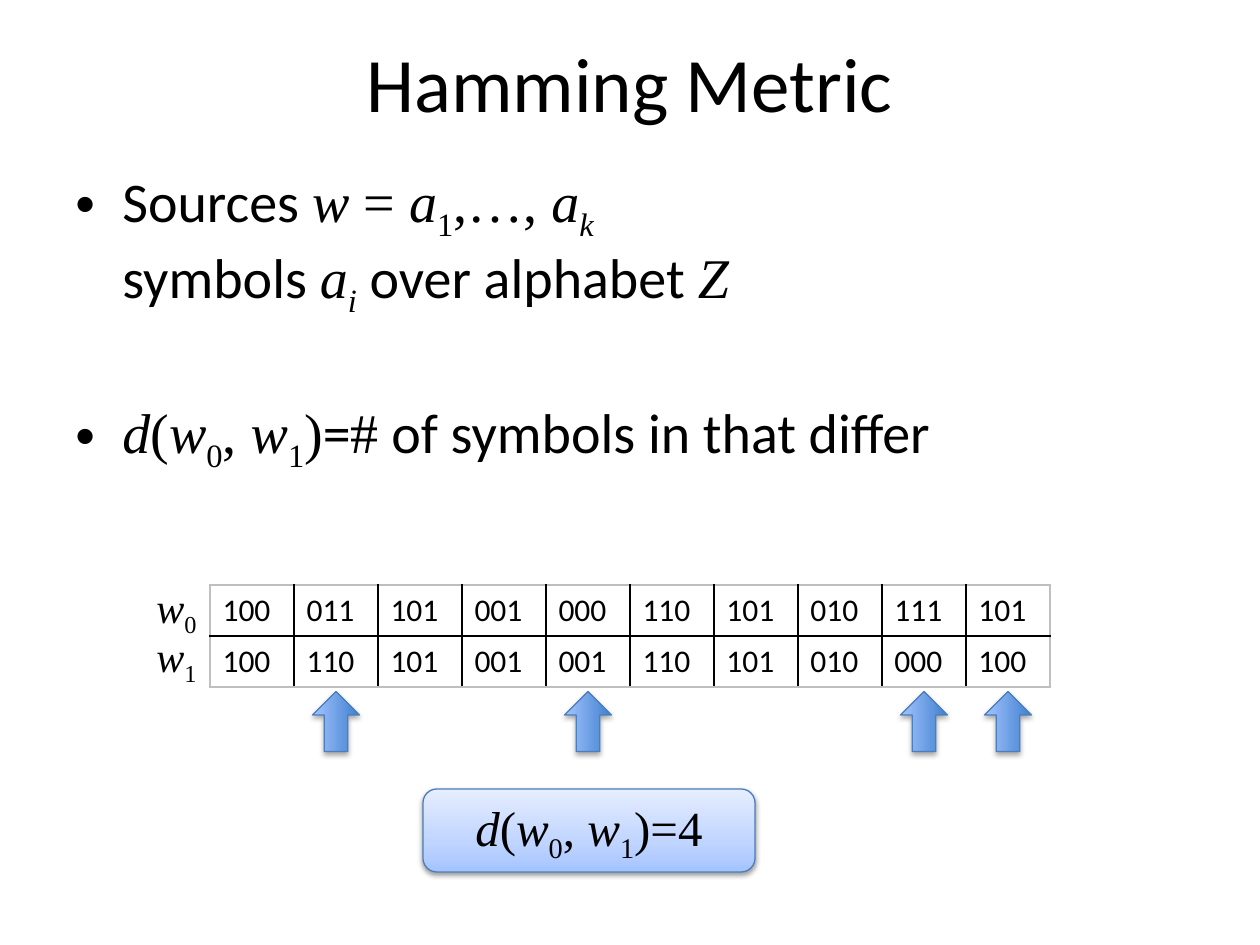
"""Build the Hamming Metric slide."""
from dataclasses import dataclass

from lxml import etree
from pptx import Presentation
from pptx import util as u
from pptx.dml.color import RGBColor
from pptx.enum import shapes, text
from pptx.oxml import ns

PX = 914400 / 126


@dataclass(frozen=True)
class Theme:
    """Fonts, type sizes and colours."""
    sans: str = "Calibri"
    math: str = "Times New Roman"
    title: int = 44
    body: int = 32
    result: int = 28
    label: int = 24
    cell: int = 18
    ink: str = "000000"
    frame: str = "BFBFBF"
    edge: str = "4B7EBC"
    arrow: tuple = ((0, "3F80CE"), (100, "A4C4FF"))
    panel: tuple = ((0, "A4C4FF"), (35, "BFD4FF"), (100, "E6EEFF"))


T = Theme()
STYLES = {
    "sans": dict(font=T.sans),
    "math": dict(font=T.math),
    "var": dict(font=T.math, italic=True),
    "sub": dict(font=T.math, sub=True),
    "varsub": dict(font=T.math, italic=True, sub=True),
}
DISTANCE = [("d", "var"), ("(", "math"), ("w", "var"), ("0", "sub"), (", ", "math"),
            ("w", "var"), ("1", "sub"), (")", "math")]
SOURCES = [("Sources ", "sans"), ("w ", "var"), ("= ", "math"), ("a", "var"), ("1", "sub"),
           (",…, ", "math"), ("a", "var"), ("k", "varsub"), ("\n", "sans"),
           ("symbols ", "sans"), ("a", "var"), ("i", "varsub"),
           (" over alphabet ", "sans"), ("Z", "var")]
DEFINITION = DISTANCE + [("=", "sans"), ("#", "math"), (" of symbols in that differ", "sans")]
WORDS = ["100 011 101 001 000 110 101 010 111 101".split(),
         "100 110 101 001 001 110 101 010 000 100".split()]


def px(n):
    """Turn pixels into EMU."""
    return u.Emu(round(n * PX))


def box(x, y, w, h):
    """Turn a pixel box into EMU."""
    return px(x), px(y), px(w), px(h)


def sub(parent, tag, **attrs):
    """Append a DrawingML element."""
    el = etree.SubElement(parent, ns.qn(f"a:{tag}"))
    for key, value in attrs.items():
        el.set(key, str(value))
    return el


def write(p, content, size, font=T.sans, italic=False, sub=False):
    """Add one formatted run to a paragraph."""
    r = p.add_run()
    r.text = content
    r.font.name, r.font.size, r.font.italic = font, u.Pt(size), italic
    r.font.color.rgb = RGBColor.from_string(T.ink)
    if sub:
        r.font._element.set("baseline", "-25000")


def write_runs(p, runs, size):
    """Write styled runs, with a newline as a line break."""
    for content, style in runs:
        if content == "\n":
            p.add_line_break()
        else:
            write(p, content, size, **STYLES[style])


def add_title(slide, x, y, w, h):
    """Place and fill the title."""
    sp = slide.shapes.title
    sp.left, sp.top, sp.width, sp.height = box(x, y, w, h)
    tf = sp.text_frame
    tf.vertical_anchor = text.MSO_ANCHOR.MIDDLE
    p = tf.paragraphs[0]
    p.alignment = text.PP_ALIGN.CENTER
    write(p, "Hamming Metric", T.title)


def add_bullets(slide, x, y, w, h):
    """Add the two bulleted statements."""
    tf = slide.shapes.add_textbox(*box(x, y, w, h)).text_frame
    tf.word_wrap = True
    for i, runs in enumerate((SOURCES, DEFINITION)):
        p = tf.add_paragraph() if i else tf.paragraphs[0]
        if i:
            p.space_before = u.Pt(45)
        pPr = p._p.get_or_add_pPr()
        pPr.set("marL", str(px(47)))
        pPr.set("indent", str(-px(47)))
        sub(pPr, "buFont", typeface="Arial")
        sub(pPr, "buChar", char="•")
        write_runs(p, runs, T.body)


def set_borders(cell, outer):
    """Draw the four cell borders, with a paler outer frame."""
    tcPr = cell._tc.get_or_add_tcPr()
    for tag, is_outer in zip(("lnL", "lnR", "lnT", "lnB"), outer):
        ln = sub(tcPr, tag, w=u.Pt(1))
        sub(sub(ln, "solidFill"), "srgbClr", val=T.frame if is_outer else T.ink)


def add_words(slide, x, y, w, h):
    """Add the table of both words."""
    rows, cols = len(WORDS), len(WORDS[0])
    table = slide.shapes.add_table(rows, cols, *box(x, y, w, h)).table
    table.first_row = table.horz_banding = False
    for column in table.columns:
        column.width = px(w / cols)
    for i, word in enumerate(WORDS):
        table.rows[i].height = px(h / rows)
        for j, symbol in enumerate(word):
            cell = table.cell(i, j)
            set_borders(cell, (j == 0, j == cols - 1, i == 0, i == rows - 1))
            cell.fill.background()
            write(cell.text_frame.paragraphs[0], symbol, T.cell)


def add_labels(slide, x, y, w, h, pitch):
    """Add the name of each word."""
    for i in range(len(WORDS)):
        tf = slide.shapes.add_textbox(*box(x, y + i * pitch, w, h)).text_frame
        tf.word_wrap = False
        tf.auto_size = text.MSO_AUTO_SIZE.SHAPE_TO_FIT_TEXT
        write_runs(tf.paragraphs[0], [("w", "var"), (str(i), "sub")], T.label)


def add_glossy(slide, kind, place, stops, alpha, dist):
    """Add a shape with a gradient, an edge and a soft shadow."""
    sp = slide.shapes.add_shape(kind, *box(*place))
    sp.line.color.rgb = RGBColor.from_string(T.edge)
    sp.line.width = u.Pt(0.75)
    sp.shadow.inherit = False
    spPr = sp._element.spPr
    grad = sub(spPr, "gradFill", rotWithShape=1)
    spPr.find(ns.qn("a:ln")).addprevious(grad)
    stop_list = sub(grad, "gsLst")
    for pos, color in stops:
        sub(sub(stop_list, "gs", pos=pos * 1000), "srgbClr", val=color)
    sub(grad, "lin", ang=270 * 60000, scaled=0)
    shadow = sub(spPr.find(ns.qn("a:effectLst")), "outerShdw", blurRad=u.Pt(3.1),
                 dist=u.Pt(dist), dir=90 * 60000, rotWithShape=0)
    sub(sub(shadow, "srgbClr", val=T.ink), "alpha", val=alpha * 1000)
    return sp


def add_arrows(slide, x, y, w, h):
    """Point an arrow at each column whose symbols differ."""
    pitch = w / len(WORDS[0])
    length = 60
    for j, (first, second) in enumerate(zip(*WORDS)):
        if first != second:
            place = (x + (j + 0.5) * pitch - length / 2, y, length, h)
            sp = add_glossy(slide, shapes.MSO_SHAPE.RIGHT_ARROW, place, T.arrow, 35, 1.8)
            sp.rotation = 270


def add_result(slide, x, y, w, h):
    """Add the panel with the resulting distance."""
    sp = add_glossy(slide, shapes.MSO_SHAPE.ROUNDED_RECTANGLE, (x, y, w, h), T.panel, 38, 1.6)
    tf = sp.text_frame
    tf.margin_left = tf.margin_right = tf.margin_top = tf.margin_bottom = px(6)
    tf.vertical_anchor = text.MSO_ANCHOR.MIDDLE
    p = tf.paragraphs[0]
    p.alignment = text.PP_ALIGN.CENTER
    write_runs(p, DISTANCE + [("=4", "math")], T.result)


def main():
    """Build and save the slide."""
    prs = Presentation()
    prs.slide_width, prs.slide_height = px(1260), px(945)
    slide = prs.slides.add_slide(prs.slide_layouts[5])
    add_title(slide, 63, 3, 1134, 157)
    add_bullets(slide, 63, 160, 1134, 418)
    add_words(slide, 210, 585, 840, 102)
    add_labels(slide, 144, 575, 73, 63, pitch=49)
    add_arrows(slide, 210, 698, 840, 47)
    add_result(slide, 423, 789, 332, 83)
    prs.save("out.pptx")


if __name__ == "__main__":
    main()
